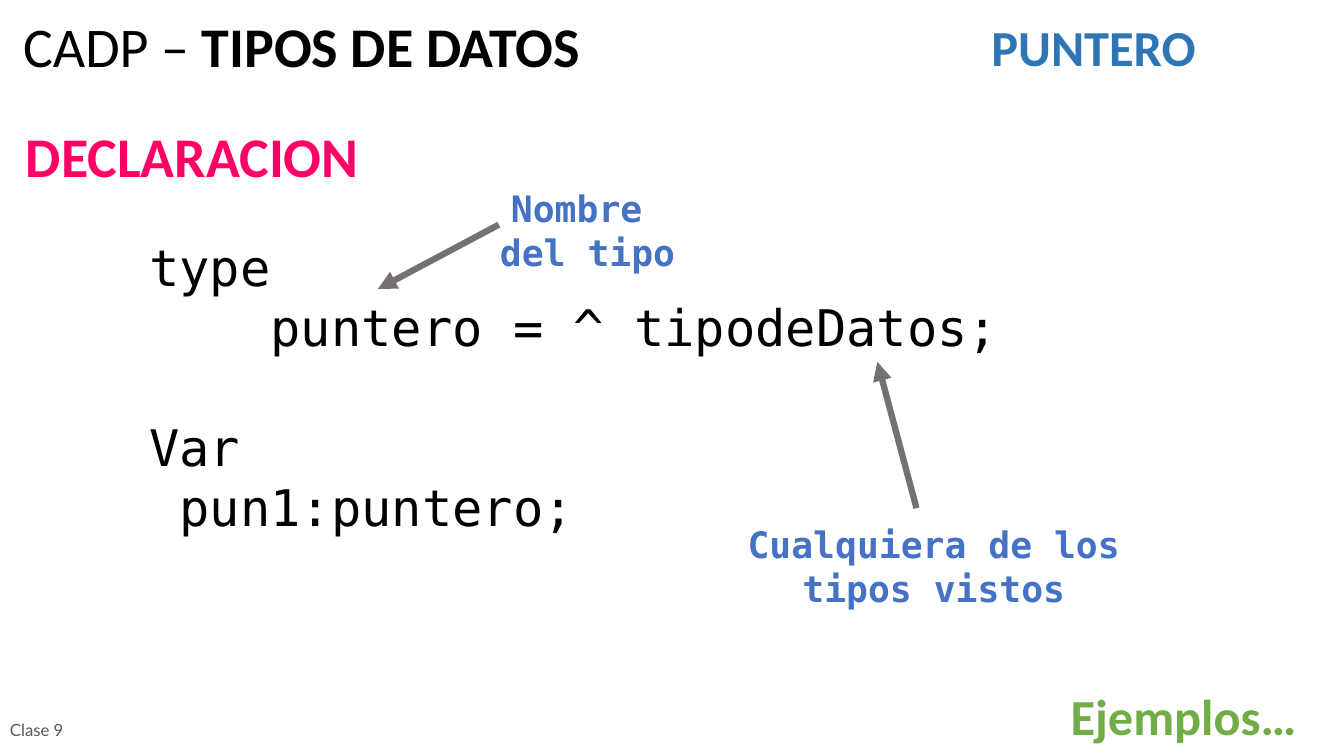
from pptx import Presentation
from pptx.dml.color import RGBColor
from pptx.enum.shapes import MSO_CONNECTOR as Connector
from pptx.enum.text import MSO_ANCHOR as Anchor, PP_ALIGN as Align
from pptx.oxml.ns import qn
from pptx.util import Pt
from lxml.etree import SubElement

CODE_FONT = "DejaVu Sans Mono"
BLACK, GREY, ARROW_GREY = "000000", "595959", "767171"
BLUE, LABEL_BLUE, PINK, GREEN = "2E75B6", "4472C4", "FF0066", "70AD47"


def color(hex_string):
    return RGBColor.from_string(hex_string)


def add_text(slide, box, lines, size=36, font="Calibri", fill=BLACK, bold=False,
             align=Align.LEFT, anchor=Anchor.TOP, spacing=None, gaps=None):
    """Each line is a string, or a list of (text, bold) runs; gaps maps line to space before."""
    frame = slide.shapes.add_textbox(*map(Pt, box)).text_frame
    frame.word_wrap = True
    frame.vertical_anchor = anchor
    for i, line in enumerate(lines):
        paragraph = frame.paragraphs[0] if i == 0 else frame.add_paragraph()
        paragraph.alignment = align
        if spacing:
            paragraph.line_spacing = spacing
        if gaps and i in gaps:
            paragraph.space_before = Pt(gaps[i])
        for words, heavy in [(line, bold)] if isinstance(line, str) else line:
            run = paragraph.add_run()
            run.text = words
            run.font.name, run.font.size, run.font.bold = font, Pt(size), heavy
            run.font.color.rgb = color(fill)


def add_arrow(slide, start, end):
    arrow = slide.shapes.add_connector(Connector.STRAIGHT, *map(Pt, (*start, *end)))
    arrow.line.color.rgb = color(ARROW_GREY)
    arrow.line.width = Pt(4.5)
    properties = arrow._element.spPr
    SubElement(properties.find(qn("a:ln")), qn("a:tailEnd"), type="triangle")
    SubElement(properties, qn("a:effectLst"))


def header(slide, left, top, width):
    add_text(slide, (left, top + 2, 690, 55),
             [[("CADP – ", False), ("TIPOS DE DATOS", True)]], size=40, spacing=0.9)
    add_text(slide, (left + width - 205, top, 205, 50), ["PUNTERO"], fill=BLUE, bold=True)


def declaration(slide, left, top, width):
    add_text(slide, (left, top, 402, 55), ["DECLARACION"], size=40, fill=PINK, bold=True)
    # The gap before "Var" is one line of code
    add_text(slide, (left + 88, top + 81.5, width - 88, 223),
             ["type", "    puntero = ^ tipodeDatos;", "Var", " pun1:puntero;"],
             font=CODE_FONT, gaps={2: 42})


def callout(slide, box, lines, start, end):
    """Label with an arrow whose ends are offsets from the label's corner."""
    left, top = box[:2]
    add_text(slide, box, lines, size=26, font=CODE_FONT, fill=LABEL_BLUE,
             bold=True, align=Align.CENTER)
    add_arrow(slide, *((left + x, top + y) for x, y in (start, end)))


def footer(slide, left, top, width):
    add_text(slide, (left, top + 20, 77, 31), ["Clase 9"], size=12, font="Lato",
             fill=GREY, anchor=Anchor.MIDDLE)
    add_text(slide, (left + width - 197, top, 197, 50), ["Ejemplos…"], fill=GREEN, bold=True)


def main():
    deck = Presentation()
    deck.slide_width, deck.slide_height = Pt(960.5), Pt(540)
    slide = deck.slides.add_slide(deck.slide_layouts[6])

    header(slide, 9.5, 8, 897)
    declaration(slide, 11.5, 83.5, 916.5)
    # Notes on the two parts of the declaration
    callout(slide, (514, 369.5, 307, 70), ["Cualquiera de los tipos vistos"],
            start=(141, -6.5), end=(113, -111))
    callout(slide, (319.5, 129.5, 201, 70), ["Nombre ", "del tipo"],
            start=(37, 31), end=(-49.5, 77))
    footer(slide, 0, 485.5, 955)

    deck.save("out.pptx")


if __name__ == "__main__":
    main()
